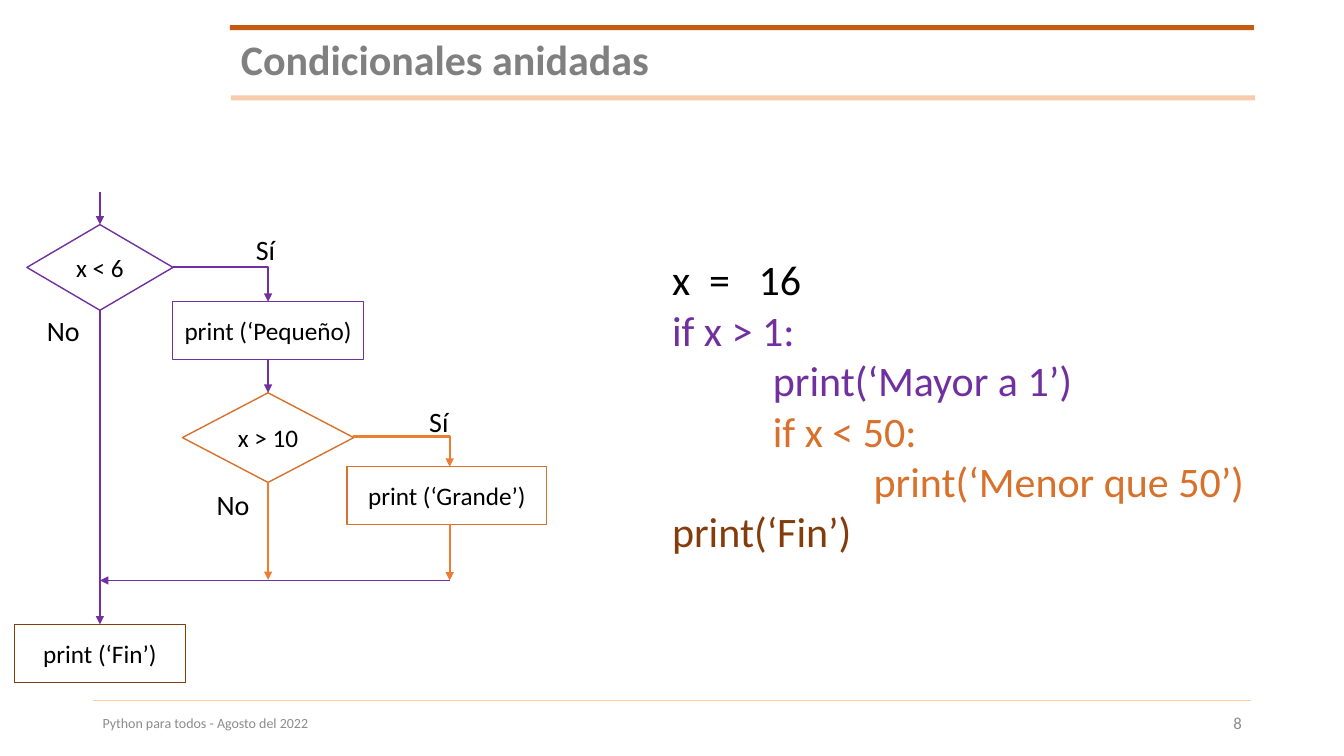
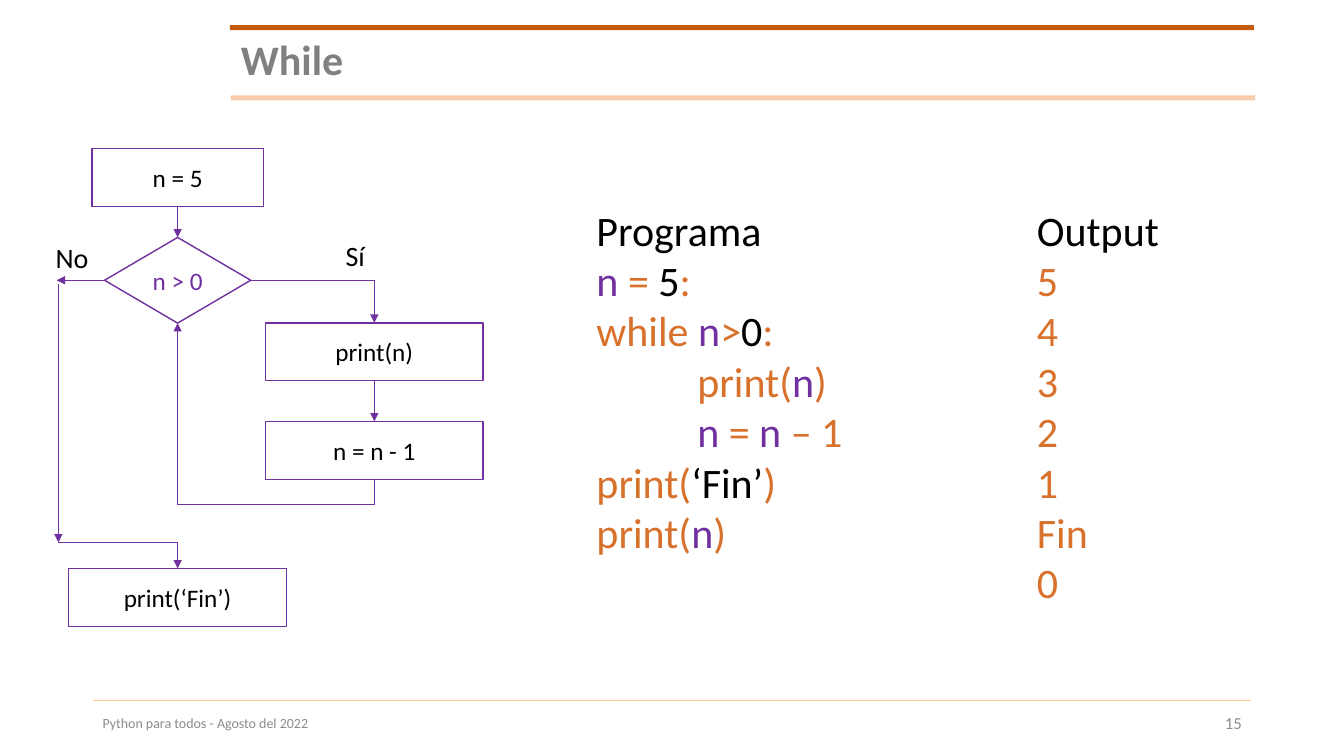
from lxml import etree
from pptx import Presentation
from pptx.dml.color import RGBColor
from pptx.enum.shapes import MSO_CONNECTOR, MSO_SHAPE
from pptx.enum.text import MSO_ANCHOR, PP_ALIGN
from pptx.oxml.ns import qn
from pptx.util import Pt

BOX, DECISION = MSO_SHAPE.RECTANGLE, MSO_SHAPE.FLOWCHART_DECISION
STRAIGHT, ELBOW = MSO_CONNECTOR.STRAIGHT, MSO_CONNECTOR.ELBOW
LEFT, CENTER, RIGHT = PP_ALIGN.LEFT, PP_ALIGN.CENTER, PP_ALIGN.RIGHT
TOP, MIDDLE = MSO_ANCHOR.TOP, MSO_ANCHOR.MIDDLE

BLACK = RGBColor(0x00, 0x00, 0x00)
WHITE = RGBColor(0xFF, 0xFF, 0xFF)
PURPLE = RGBColor(0x70, 0x30, 0xA0)
ORANGE = RGBColor(0xD7, 0x71, 0x2B)
BRIGHT_ORANGE = RGBColor(0xED, 0x7D, 0x31)
BROWN = RGBColor(0x84, 0x3C, 0x0C)
TITLE_GRAY = RGBColor(0x80, 0x80, 0x80)
FOOTER_GRAY = RGBColor(0x8C, 0x8C, 0x8C)
DARK_BAND = RGBColor(0xC5, 0x5A, 0x11)
LIGHT_BAND = RGBColor(0xF8, 0xCB, 0xAD)
FOOTER_RULE = RGBColor(0xFF, 0xCC, 0x99)

FONT = "Calibri"
FOOTER = "Python para todos - Agosto del 2022"
BOX_HEIGHT = 41.4
INDENT = 72
THIN, THICK = 0.5, 1.5

# Flowchart columns, as centre lines
MAIN, INNER, DEEP = 71.4, 191.5, 321.2
EXIT, TEST, BODY = 41.7, 126.9, 267.4

# Nodes: kind, text, centre x, top, width, height, line colour, text colour
# Arrows: kind, start, end, colour, weight
# Labels: text, left, top
# Code: left, top, width, lines of (indent level, [(text, colour), ...])
SLIDES = [
    {
        "title": "Condicionales anidadas",
        "number": "8",
        "nodes": [
            (DECISION, "x < 6", MAIN, 160.4, 104.4, 61.2, PURPLE, BLACK),
            (BOX, "print (‘Pequeño)", INNER, 215.5, 136.8, BOX_HEIGHT, PURPLE, BLACK),
            (DECISION, "x > 10", INNER, 280.6, 122.4, 64, ORANGE, BLACK),
            (BOX, "print (‘Grande’)", DEEP - 2, 333.4, 142.6, BOX_HEIGHT, ORANGE, BLACK),
            (BOX, "print (‘Fin’)", MAIN, 446, 122.4, BOX_HEIGHT, BROWN, BLACK),
        ],
        "arrows": [
            (STRAIGHT, (MAIN, 137), (MAIN, 160.4), PURPLE, THICK),
            (STRAIGHT, (MAIN, 221.4), (MAIN, 446), PURPLE, THICK),
            (ELBOW, (123.6, 191), (INNER, 215.5), PURPLE, THICK),
            (ELBOW, (252.4, 311.8), (DEEP, 333.4), BRIGHT_ORANGE, THICK),
            (STRAIGHT, (INNER, 256.6), (INNER, 280.6), PURPLE, THICK),
            (STRAIGHT, (INNER, 344.6), (INNER, 414.2), BRIGHT_ORANGE, THICK),
            (STRAIGHT, (DEEP, 374), (DEEP, 414.6), BRIGHT_ORANGE, THICK),
            (STRAIGHT, (DEEP, 414.6), (MAIN, 414.6), PURPLE, THIN),
        ],
        "labels": [("Sí", 175.7, 162.7), ("Sí", 299.5, 285.5),
                   ("No", 26.4, 220.3), ("No", 147.6, 344.9)],
        "code": [
            (473, 177.8, 453.6, [
                (0, [("x  =   16", BLACK)]),
                (0, [("if x > 1:", PURPLE)]),
                (1, [("print(‘Mayor a 1’)", PURPLE)]),
                (1, [("if x < 50:", ORANGE)]),
                (2, [("print(‘Menor que 50’)", ORANGE)]),
                (0, [("print(‘Fin’)", BROWN)]),
            ]),
        ],
    },
    {
        "title": "While",
        "number": "15",
        "nodes": [
            (BOX, "n = 5", TEST, 106, 122.4, BOX_HEIGHT, PURPLE, BLACK),
            (DECISION, "n > 0", TEST, 169.6, 104.4, 61.2, PURPLE, PURPLE),
            (BOX, "print(n)", BODY, 230.6, 155.5, BOX_HEIGHT, PURPLE, BLACK),
            (BOX, "n = n - 1", BODY, 301, 155.5, BOX_HEIGHT, PURPLE, BLACK),
            (BOX, "print(‘Fin’)", TEST, 406, 155.5, BOX_HEIGHT, PURPLE, BLACK),
        ],
        "arrows": [
            (STRAIGHT, (TEST, 147.4), (TEST, 169.6), PURPLE, THIN),
            (ELBOW, (179.1, 200.2), (BODY, 230.6), PURPLE, THIN),
            (STRAIGHT, (BODY, 272), (BODY, 301), PURPLE, THIN),
            (STRAIGHT, (74.7, 200.2), (40.5, 200.2), PURPLE, THIN),
            (STRAIGHT, (EXIT, 202.6), (EXIT, 387.4), PURPLE, THIN),
            (ELBOW, (EXIT, 387.4), (TEST, 406), PURPLE, THIN),
        ],
        "loop": ((BODY, 342.4), (TEST, 230.8), 18),
        "labels": [("No", 32.6, 168), ("Sí", 239.8, 166.8)],
        "code": [
            (419, 142.3, 241.9, [
                (0, [("Programa", BLACK)]),
                (0, [("n", PURPLE), (" = ", ORANGE), ("5", BLACK), (":", ORANGE)]),
                (0, [("while ", ORANGE), ("n", PURPLE), (">", ORANGE),
                     ("0", BLACK), (":", ORANGE)]),
                (1, [("print(", ORANGE), ("n", PURPLE), (")", ORANGE)]),
                (1, [("n", PURPLE), (" = ", ORANGE), ("n", PURPLE), (" – 1", ORANGE)]),
                (0, [("print(", ORANGE), ("‘Fin’", BLACK), (")", ORANGE)]),
                (0, [("print(", ORANGE), ("n", PURPLE), (")", ORANGE)]),
            ]),
            (733.6, 142.3, 153.4, [(0, [("Output", BLACK)])] + [
                (0, [(value, ORANGE)]) for value in ("5", "4", "3", "2", "1", "Fin", "0")
            ]),
        ],
    },
]


# Drawing helpers
def set_font(font, size, color, bold=False):
    font.name, font.size, font.bold = FONT, Pt(size), bold
    font.color.rgb = color


def add_text(slide, text, box, size, color, align=LEFT, anchor=TOP, bold=False):
    shape = slide.shapes.add_textbox(*map(Pt, box))
    frame = shape.text_frame
    frame.word_wrap, frame.vertical_anchor = True, anchor
    paragraph = frame.paragraphs[0]
    paragraph.text, paragraph.alignment = text, align
    set_font(paragraph.font, size, color, bold)
    return paragraph


def add_shape(slide, kind, box, fill, line=None):
    shape = slide.shapes.add_shape(kind, *map(Pt, box))
    shape.shadow.inherit = False
    shape.fill.solid()
    shape.fill.fore_color.rgb = fill
    if line is None:
        shape.line.fill.background()
    else:
        shape.line.color.rgb, shape.line.width = line, Pt(1)
    return shape


def add_line(slide, kind, start, end, color, weight, arrow=True):
    connector = slide.shapes.add_connector(kind, *map(Pt, start + end))
    connector.line.color.rgb, connector.line.width = color, Pt(weight)
    properties = connector._element.spPr
    if arrow:
        etree.SubElement(properties.find(qn("a:ln")), qn("a:tailEnd"), type="triangle")
    etree.SubElement(properties, qn("a:effectLst"))
    return properties


def add_arrow(slide, kind, start, end, color, weight):
    properties = add_line(slide, kind, start, end, color, weight)
    if kind == ELBOW:
        properties.find(qn("a:prstGeom")).set("prst", "bentConnector2")


def add_loop(slide, start, end, drop):
    """Arrow that leaves downwards, runs left and climbs back to the test."""
    center_x, center_y = (start[0] + end[0]) / 2, (start[1] + end[1]) / 2
    half_width, half_height = (start[1] - end[1]) / 2, (start[0] - end[0]) / 2
    properties = add_line(slide, ELBOW,
                          (center_x + half_width, center_y - half_height),
                          (center_x - half_width, center_y + half_height), PURPLE, THIN)
    properties.find(qn("a:xfrm")).set("rot", "5400000")
    geometry = properties.find(qn("a:prstGeom"))
    for guides in geometry.findall(qn("a:avLst")):
        geometry.remove(guides)
    guides = etree.SubElement(geometry, qn("a:avLst"))
    bend = round(-drop / (2 * half_width) * 100000)
    etree.SubElement(guides, qn("a:gd"), name="adj1", fmla=f"val {bend}")


def add_node(slide, kind, text, center, top, width, height, line, color):
    shape = add_shape(slide, kind, (center - width / 2, top, width, height), WHITE, line)
    frame = shape.text_frame
    frame.word_wrap, frame.vertical_anchor = False, MIDDLE
    paragraph = frame.paragraphs[0]
    paragraph.text, paragraph.alignment = text, CENTER
    set_font(paragraph.font, 18, color)


def add_code(slide, left, top, width, lines):
    shape = slide.shapes.add_textbox(Pt(left), Pt(top), Pt(width), Pt(36 * len(lines) + 7.2))
    frame = shape.text_frame
    frame.word_wrap = True
    for index, (level, parts) in enumerate(lines):
        paragraph = frame.add_paragraph() if index else frame.paragraphs[0]
        paragraph._p.get_or_add_pPr().set("marL", str(Pt(INDENT * level)))
        for text, color in parts:
            run = paragraph.add_run()
            run.text = text
            set_font(run.font, 30, color)


def add_frame(slide, title, number):
    add_line(slide, STRAIGHT, (66.2, 500), (893.5, 500), FOOTER_RULE, THIN, arrow=False)
    add_shape(slide, BOX, (164.2, 18, 731.5, 3.6), DARK_BAND)
    add_shape(slide, BOX, (165, 68.2, 731.5, 3.6), LIGHT_BAND)
    heading = add_text(slide, title, (165, 23.8, 728.6, 41), 30, TITLE_GRAY,
                       anchor=MIDDLE, bold=True)
    heading.line_spacing = 0.9
    add_text(slide, FOOTER, (66.2, 502.6, 612, 28), 10, FOOTER_GRAY, anchor=MIDDLE)
    add_text(slide, number, (678.2, 502.6, 216, 28), 12, FOOTER_GRAY, RIGHT, MIDDLE)


# Build the slides
presentation = Presentation()
presentation.slide_width, presentation.slide_height = Pt(960), Pt(540)
for content in SLIDES:
    slide = presentation.slides.add_slide(presentation.slide_layouts[6])
    add_frame(slide, content["title"], content["number"])
    for code in content["code"]:
        add_code(slide, *code)
    for node in content["nodes"]:
        add_node(slide, *node)
    for arrow in content["arrows"]:
        add_arrow(slide, *arrow)
    if "loop" in content:
        add_loop(slide, *content["loop"])
    for text, left, top in content["labels"]:
        add_text(slide, text, (left, top, 43.2, 31.5), 20, BLACK)
presentation.save("out.pptx")
